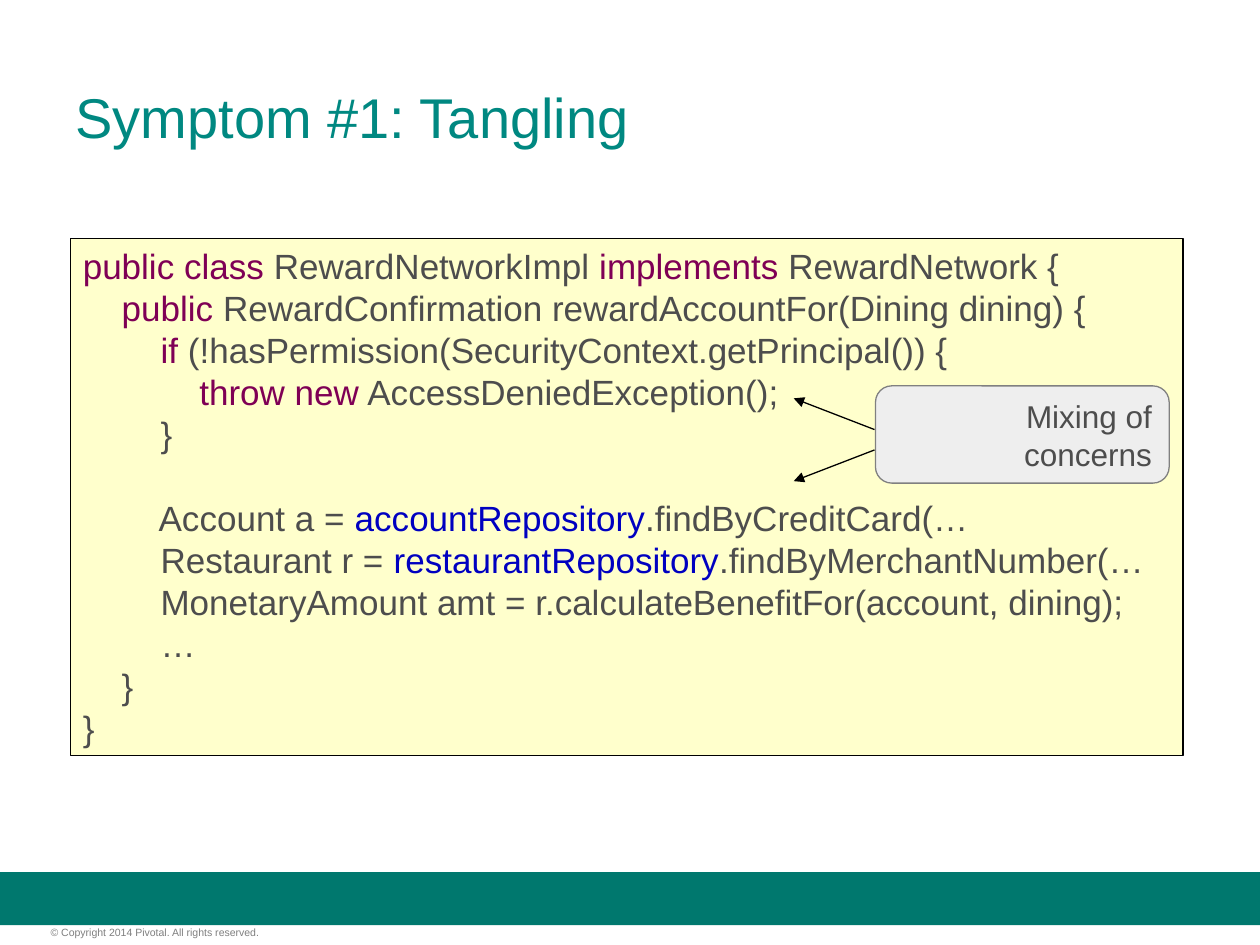
from dataclasses import dataclass

from lxml.etree import SubElement
from pptx import Presentation
from pptx.dml.color import RGBColor as RGB
from pptx.enum.shapes import MSO_CONNECTOR as Conn, MSO_SHAPE as Kind
from pptx.enum.text import MSO_ANCHOR as Anchor, PP_ALIGN as Align
from pptx.oxml.ns import qn
from pptx.util import Cm, Pt


@dataclass(frozen=True)
class Theme:
    font: str = "Arial"
    title: str = "008881"
    band: str = "00786E"
    text: str = "4D4D4D"
    key: str = "7F0055"
    field: str = "0000C0"
    code: str = "FFFFCC"
    note: str = "EEEEEE"
    edge: str = "808080"
    foot: str = "7F7F7F"
    ink: str = "000000"
    title_size: float = 32
    code_size: float = 20
    note_size: float = 18
    foot_size: float = 6


@dataclass(frozen=True)
class Box:
    left: float
    top: float
    width: float
    height: float

    def cm(self) -> tuple:
        return Cm(self.left), Cm(self.top), Cm(self.width), Cm(self.height)


@dataclass(frozen=True)
class Arrow:
    x: float
    y: float
    to_x: float
    to_y: float


@dataclass(frozen=True)
class Line:
    runs: tuple
    gap: float = 0


T = Theme()
TITLE = Box(1.27, 0.76, 22.86, 3.18)
BAND = Box(0, 17.58, 25.4, 1.07)
FOOT = Box(1.02, 18.67, 6.32, 0.25)
CODE = Box(1.42, 4.81, 22.43, 10.42)
NOTE = Box(17.65, 7.78, 5.92, 1.96)
ARROWS = (Arrow(17.63, 8.66, 16, 8.03), Arrow(17.63, 9.07, 16, 9.7))

LINES = (
    Line((("public class", T.key), (" RewardNetworkImpl ", T.text),
          ("implements", T.key), (" RewardNetwork {", T.text))),
    Line((("    public", T.key),
          (" RewardConfirmation rewardAccountFor(Dining dining) {", T.text))),
    Line((("        if", T.key),
          (" (!hasPermission(SecurityContext.getPrincipal()) {", T.text))),
    Line((("            throw new", T.key),
          (" AccessDeniedException();", T.text))),
    Line((("        }", T.text),)),
    Line((("        Account a = ", T.text), ("accountRepository", T.field),
          (".findByCreditCard(…", T.text)), gap=24),
    Line((("        Restaurant r = ", T.text), ("restaurantRepository", T.field),
          (".findByMerchantNumber(…", T.text))),
    Line((("        MonetaryAmount amt = r.calculateBenefitFor(account, dining);",
           T.text),)),
    Line((("        …", T.text),)),
    Line((("    }", T.text),)),
    Line((("}", T.text),)),
)


def add_run(para, text: str, size: float, color: str) -> None:
    run = para.add_run()
    run.text = text
    run.font.name = T.font
    run.font.size = Pt(size)
    run.font.color.rgb = RGB.from_string(color)


def add_box(slide, kind: Kind, box: Box, fill: str,
            edge: str | None = None, width: float = 0):
    shape = slide.shapes.add_shape(kind, *box.cm())
    shape.shadow.inherit = False
    shape.fill.solid()
    shape.fill.fore_color.rgb = RGB.from_string(fill)
    if edge:
        shape.line.color.rgb = RGB.from_string(edge)
        shape.line.width = Pt(width)
    else:
        shape.line.fill.background()
    shape.text_frame.word_wrap = True
    return shape


def add_title(slide) -> None:
    title = slide.shapes.title
    title.left, title.top, title.width, title.height = TITLE.cm()
    frame = title.text_frame
    frame.vertical_anchor = Anchor.MIDDLE
    para = frame.paragraphs[0]
    para.alignment = Align.LEFT
    add_run(para, "Symptom #1: Tangling", T.title_size, T.title)


def add_foot(slide) -> None:
    frame = slide.shapes.add_textbox(*FOOT.cm()).text_frame
    frame.word_wrap = True
    frame.margin_left = frame.margin_right = 0
    frame.margin_top = frame.margin_bottom = 0
    add_run(frame.paragraphs[0], "© Copyright 2014 Pivotal. All rights reserved.",
            T.foot_size, T.foot)


def add_code(slide) -> None:
    frame = add_box(slide, Kind.RECTANGLE, CODE, T.code, T.ink, 1).text_frame
    frame.vertical_anchor = Anchor.TOP
    for i, line in enumerate(LINES):
        para = frame.add_paragraph() if i else frame.paragraphs[0]
        para.alignment = Align.LEFT
        if line.gap:
            para.space_before = Pt(line.gap)
        for text, color in line.runs:
            add_run(para, text, T.code_size, color)


def add_arrow(slide, arrow: Arrow) -> None:
    line = slide.shapes.add_connector(
        Conn.STRAIGHT, Cm(arrow.x), Cm(arrow.y), Cm(arrow.to_x), Cm(arrow.to_y))
    line.line.color.rgb = RGB.from_string(T.ink)
    line.line.width = Pt(0.75)
    props = line._element.spPr
    SubElement(props.find(qn("a:ln")), qn("a:tailEnd"), type="triangle")
    SubElement(props, qn("a:effectLst"))


def add_note(slide) -> None:
    frame = add_box(slide, Kind.ROUNDED_RECTANGLE, NOTE, T.note, T.edge).text_frame
    frame.vertical_anchor = Anchor.MIDDLE
    para = frame.paragraphs[0]
    para.alignment = Align.RIGHT
    add_run(para, "Mixing of concerns", T.note_size, T.text)


def main() -> None:
    deck = Presentation()
    deck.slide_width, deck.slide_height = Cm(25.4), Cm(19.05)
    slide = deck.slides.add_slide(deck.slide_layouts[5])
    add_box(slide, Kind.RECTANGLE, BAND, T.band)
    add_foot(slide)
    add_title(slide)
    add_code(slide)
    for arrow in ARROWS:
        add_arrow(slide, arrow)
    add_note(slide)
    deck.save("out.pptx")


if __name__ == "__main__":
    main()
